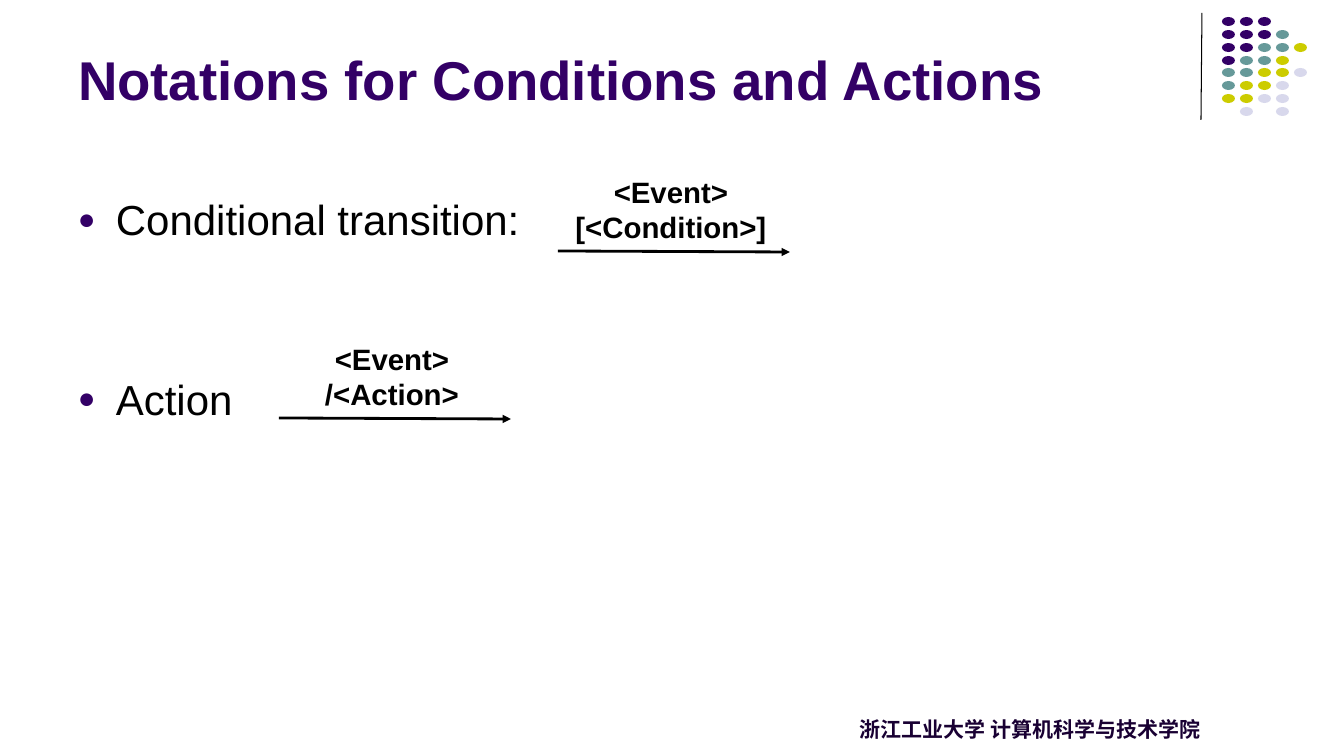
from pptx import Presentation
from pptx.dml.color import RGBColor
from pptx.enum.shapes import MSO_CONNECTOR, MSO_SHAPE
from pptx.enum.text import MSO_ANCHOR, MSO_AUTO_SIZE, PP_ALIGN
from pptx.oxml import parse_xml
from pptx.oxml.ns import nsdecls
from pptx.util import Pt

COLORS = {"purple": "330066", "teal": "669999", "lime": "CCCC00",
          "lavender": "D8D8EC", "black": "000000", "footer": "190033"}
TITLE = "Notations for Conditions and Actions"
BULLETS = ["Conditional transition:", "Action"]
TRANSITIONS = [
    {"labels": ["<Event>", "[<Condition>]"], "left": 558, "top": 169},
    {"labels": ["<Event>", "/<Action>"], "left": 279, "top": 336},
]
FOOTER = "浙江工业大学 计算机科学与技术学院"
DOT_ROWS = ["PPP", "PPPT", "PPTTL", "PTTL", "TTLLV", "TLLV", "LLVV", " V V"]
DOT_COLORS = {"P": "purple", "T": "teal", "L": "lime", "V": "lavender"}
PIXEL = 914400 / 100.8


def px(value):
    return round(value * PIXEL)


def color(name):
    return RGBColor.from_string(COLORS[name])


def write(shape, lines, size, fill="black", font="Arial", bold=False,
          align=PP_ALIGN.LEFT, anchor=MSO_ANCHOR.TOP, wrap=True, gaps=(0, 0)):
    frame = shape.text_frame
    frame.word_wrap = wrap
    frame.auto_size = MSO_AUTO_SIZE.NONE
    frame.vertical_anchor = anchor
    frame.text = "\n".join(lines)
    for paragraph, gap in zip(frame.paragraphs, gaps):
        paragraph.alignment = align
        paragraph.space_before = Pt(gap)
        run = paragraph.runs[0]
        run.font.size = Pt(size)
        run.font.bold = bold
        run.font.name = font
        run.font.color.rgb = color(fill)
        if font != "Arial":
            run._r.get_or_add_rPr().append(
                parse_xml(f'<a:ea {nsdecls("a")} typeface="{font}"/>'))
    return frame


def add_text(left, top, width, height, lines, **style):
    box = slide.shapes.add_textbox(px(left), px(top), px(width), px(height))
    return write(box, lines, **style)


def add_line(start, end, width, arrow=False):
    line = slide.shapes.add_connector(
        MSO_CONNECTOR.STRAIGHT, *[px(value) for value in (*start, *end)])
    line.line.color.rgb = color("black")
    line.line.width = Pt(width)
    if arrow:
        line.line._get_or_add_ln().append(
            parse_xml(f'<a:tailEnd {nsdecls("a")} type="triangle"/>'))
    line._element.spPr.append(parse_xml(f'<a:effectLst {nsdecls("a")}/>'))


def add_bullet(paragraph):
    properties = paragraph._p.get_or_add_pPr()
    properties.set("marL", str(px(38)))
    properties.set("indent", str(px(-38)))
    for xml in (f'<a:buClr {nsdecls("a")}><a:srgbClr val="{COLORS["purple"]}"/></a:buClr>',
                f'<a:buSzPct {nsdecls("a")} val="70000"/>',
                f'<a:buFont {nsdecls("a")} typeface="Arial"/>',
                f'<a:buChar {nsdecls("a")} char="●"/>'):
        properties.append(parse_xml(xml))


presentation = Presentation()
presentation.slide_width, presentation.slide_height = px(1344), px(756)
slide = presentation.slides.add_slide(presentation.slide_layouts[5])

add_line((1202, 13), (1201, 120), 0.75)
for row, codes in enumerate(DOT_ROWS):
    for column, code in enumerate(codes):
        if code in DOT_COLORS:
            dot = slide.shapes.add_shape(
                MSO_SHAPE.OVAL, px(1222 + 18 * column), px(17 + round(12.85 * row)),
                px(13), px(9))
            dot.shadow.inherit = False
            dot.fill.solid()
            dot.fill.fore_color.rgb = color(DOT_COLORS[code])
            dot.line.fill.background()

title = slide.shapes.title
title.left, title.top, title.width, title.height = px(68), px(13), px(1124), px(103)
write(title, [TITLE], size=39, fill="purple", bold=True, anchor=MSO_ANCHOR.BOTTOM)

body = add_text(68, 189, 1210, 486, BULLETS, size=30, gaps=(6, 92))
for paragraph in body.paragraphs:
    add_bullet(paragraph)

for transition in TRANSITIONS:
    left, top = transition["left"], transition["top"]
    add_line((left, top + 82), (left + 232, top + 83), 2, arrow=True)
    add_text(left + 6, top, 214, 82, transition["labels"], size=21, bold=True,
             align=PP_ALIGN.CENTER, wrap=False)

add_text(850, 712, 365, 35, [FOOTER], size=15, fill="footer",
         font="Noto Sans CJK SC", bold=True, wrap=False)

presentation.save("out.pptx")
